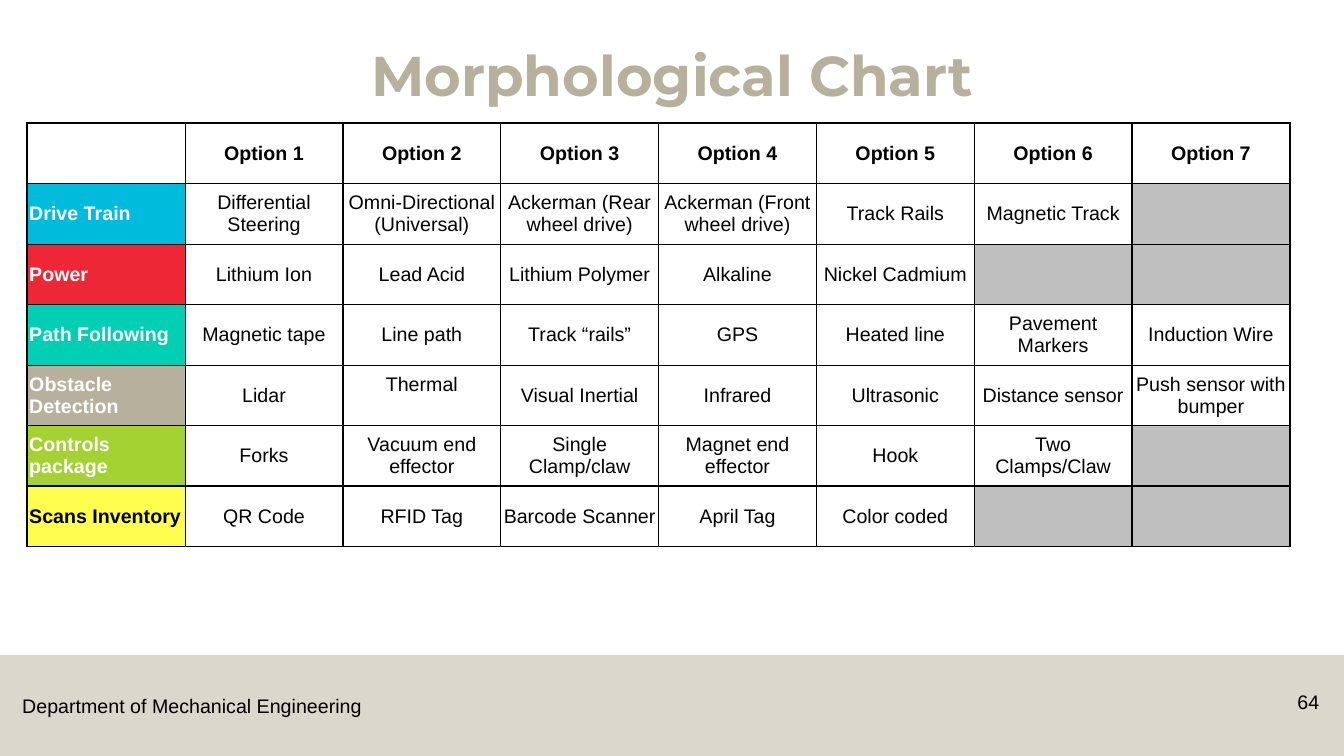
"""Builds the morphological chart slide: a table of design options per function."""
from lxml import etree
from pptx import Presentation
from pptx.dml.color import RGBColor
from pptx.enum.shapes import MSO_SHAPE
from pptx.enum.text import MSO_ANCHOR, MSO_AUTO_SIZE, PP_ALIGN
from pptx.oxml.ns import qn
from pptx.util import Pt

LEFT, CENTER, RIGHT = PP_ALIGN.LEFT, PP_ALIGN.CENTER, PP_ALIGN.RIGHT
TOP, MIDDLE, BOTTOM = MSO_ANCHOR.TOP, MSO_ANCHOR.MIDDLE, MSO_ANCHOR.BOTTOM
RECTANGLE = MSO_SHAPE.RECTANGLE
NO_AUTOFIT = MSO_AUTO_SIZE.NONE

BLACK = RGBColor(0x00, 0x00, 0x00)
WHITE = RGBColor(0xFF, 0xFF, 0xFF)
GRAY = RGBColor(0xBF, 0xBF, 0xBF)
TAN = RGBColor(0xB7, 0xB0, 0x9C)
BLUE = RGBColor(0x00, 0xBB, 0xDC)
RED = RGBColor(0xEE, 0x27, 0x37)
TEAL = RGBColor(0x00, 0xCF, 0xB4)
GREEN = RGBColor(0xA4, 0xD2, 0x33)
YELLOW = RGBColor(0xFF, 0xFD, 0x4E)

TITLE = "Morphological Chart"
DEPARTMENT = "Department of Mechanical Engineering"
PAGE = "64"
OPTION_COUNT = 7
FUNCTIONS = [
    ("Drive Train", BLUE, WHITE,
     ["Differential Steering", "Omni-Directional (Universal)", "Ackerman (Rear wheel drive)",
      "Ackerman (Front wheel drive)", "Track Rails", "Magnetic Track"]),
    ("Power", RED, WHITE,
     ["Lithium Ion", "Lead Acid", "Lithium Polymer", "Alkaline", "Nickel Cadmium"]),
    ("Path Following", TEAL, WHITE,
     ["Magnetic tape", "Line path", "Track “rails”", "GPS", "Heated line",
      "Pavement Markers", "Induction Wire"]),
    ("Obstacle Detection", TAN, WHITE,
     ["Lidar", "Thermal", "Visual Inertial", "Infrared", "Ultrasonic",
      "Distance sensor", "Push sensor with bumper"]),
    ("Controls package", GREEN, WHITE,
     ["Forks", "Vacuum end effector", "Single Clamp/claw", "Magnet end effector",
      "Hook", "Two Clamps/Claw"]),
    ("Scans Inventory", YELLOW, BLACK,
     ["QR Code", "RFID Tag", "Barcode Scanner", "April Tag", "Color coded"]),
]
RAISED_OPTION, RAISE = "Thermal", Pt(16)

SLIDE_WIDTH, SLIDE_HEIGHT = Pt(960), Pt(540)
BAND_HEIGHT = Pt(72)
TABLE_LEFT, TABLE_TOP = Pt(19.5), Pt(88)
COLUMN_WIDTH, ROW_HEIGHT = Pt(112.75), Pt(43.2)
INNER_LINE, OUTER_LINE = Pt(1), Pt(1.5)
CELL_FORMAT = {"vertical_anchor": MIDDLE, "margin_left": Pt(1.4), "margin_right": Pt(1.4),
               "margin_top": Pt(0.7), "margin_bottom": Pt(0.7)}


def write(frame, text, color, align, **font_format):
    """Put one formatted paragraph into a text frame."""
    paragraph = frame.paragraphs[0]
    paragraph.text = text
    paragraph.alignment = align
    for key, value in {"name": "Arial", "size": Pt(14), "bold": False, **font_format}.items():
        setattr(paragraph.runs[0].font, key, value)
    paragraph.runs[0].font.color.rgb = color
    return paragraph


def add_label(slide, box, text, align, wrap):
    """Add a footer text box."""
    frame = slide.shapes.add_textbox(*map(Pt, box)).text_frame
    frame.word_wrap = wrap
    write(frame, text, BLACK, align)


def add_borders(cell, outer_sides):
    """Draw black cell borders, heavier on the outside of the table."""
    properties = cell._tc.get_or_add_tcPr()
    for index, (side, outer) in enumerate(zip(("a:lnL", "a:lnR", "a:lnT", "a:lnB"), outer_sides)):
        line = etree.Element(qn(side), w=str(OUTER_LINE if outer else INNER_LINE))
        fill = etree.SubElement(line, qn("a:solidFill"))
        etree.SubElement(fill, qn("a:srgbClr"), val=str(BLACK))
        properties.insert(index, line)


def chart_rows():
    """Return every table row as (text, fill, text colour, alignment, bold) cells."""
    header = [("", WHITE, BLACK, LEFT, True)]
    header += [(f"Option {n}", WHITE, BLACK, CENTER, True) for n in range(1, OPTION_COUNT + 1)]
    rows = [header]
    for function, fill, color, options in FUNCTIONS:
        row = [(function, fill, color, LEFT, True)]
        row += [(option, WHITE, BLACK, CENTER, False) for option in options]
        row += [("", GRAY, BLACK, CENTER, False)] * (OPTION_COUNT - len(options))
        rows.append(row)
    return rows


def add_chart_table(slide):
    """Add the table of options."""
    rows = chart_rows()
    row_count, column_count = len(rows), OPTION_COUNT + 1
    table = slide.shapes.add_table(row_count, column_count, TABLE_LEFT, TABLE_TOP,
                                   COLUMN_WIDTH * column_count, ROW_HEIGHT * row_count).table
    table.first_row = table.horz_banding = False
    for column in table.columns:
        column.width = COLUMN_WIDTH
    for r, row in enumerate(rows):
        table.rows[r].height = ROW_HEIGHT
        for c, (text, fill, color, align, bold) in enumerate(row):
            cell = table.cell(r, c)
            for key, value in CELL_FORMAT.items():
                setattr(cell, key, value)
            if text:
                write(cell.text_frame, text, color, align, bold=bold)
            if text == RAISED_OPTION:
                cell.margin_bottom = RAISE
            cell.fill.solid()
            cell.fill.fore_color.rgb = fill
            add_borders(cell, (c == 0, c == column_count - 1, r == 0, r == row_count - 1))


def main():
    """Build and save the slide."""
    deck = Presentation()
    deck.slide_width, deck.slide_height = SLIDE_WIDTH, SLIDE_HEIGHT
    slide = deck.slides.add_slide(deck.slide_layouts[5])

    band = slide.shapes.add_shape(RECTANGLE, 0, SLIDE_HEIGHT - BAND_HEIGHT,
                                  SLIDE_WIDTH, BAND_HEIGHT)
    band.shadow.inherit = False
    band.line.fill.background()
    band.fill.solid()
    band.fill.fore_color.rgb = TAN
    band_color = band._element.spPr.find(qn("a:solidFill")).find(qn("a:srgbClr"))
    etree.SubElement(band_color, qn("a:alpha"), val="50000")

    add_label(slide, (8.8, 492, 258.5, 24.5), DEPARTMENT, LEFT, False)
    add_label(slide, (894, 489, 55.5, 29), PAGE, RIGHT, True)

    title = slide.shapes.title
    for key, value in {"left": Pt(66), "top": Pt(29), "width": Pt(828), "height": Pt(52)}.items():
        setattr(title, key, value)
    title.text_frame.auto_size = NO_AUTOFIT
    title.text_frame.vertical_anchor = BOTTOM
    heading = write(title.text_frame, TITLE, TAN, CENTER,
                    name="Montserrat", size=Pt(40), bold=True)
    heading.line_spacing = 0.9

    add_chart_table(slide)
    deck.save("out.pptx")


if __name__ == "__main__":
    main()
